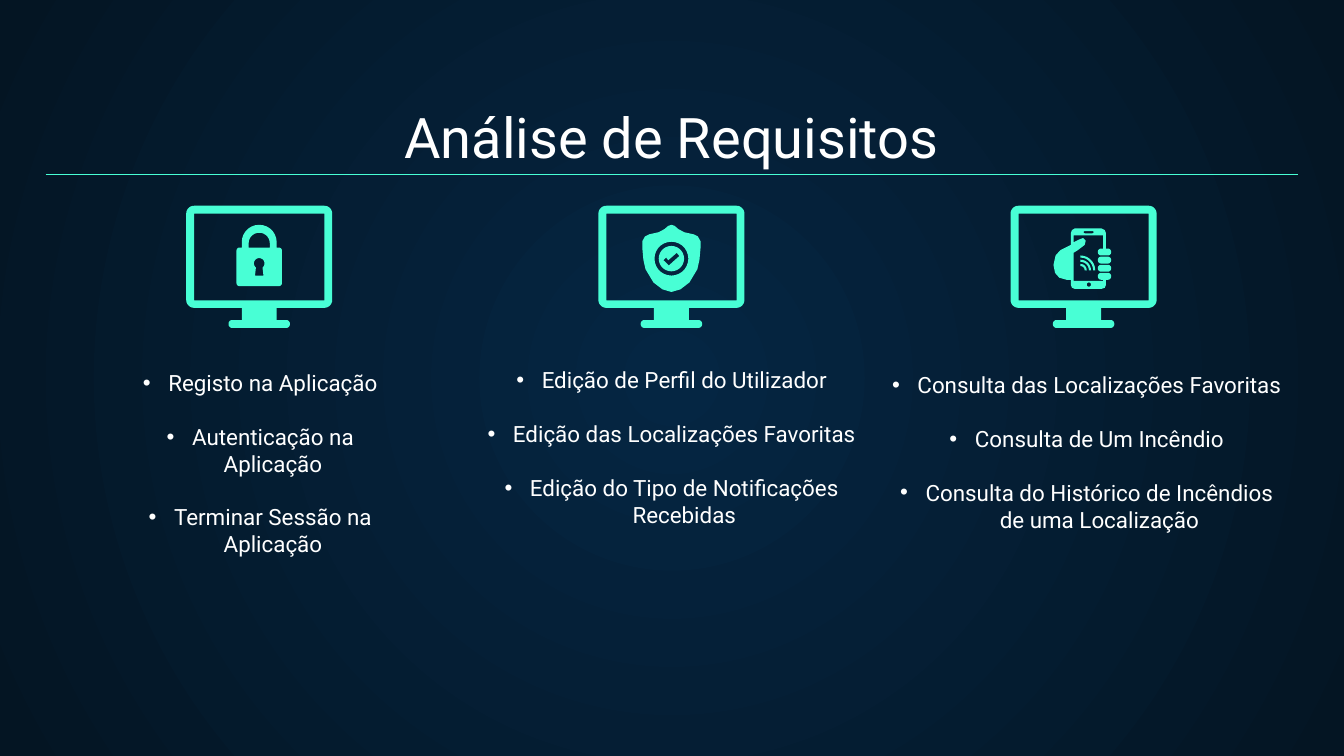
"""Build the requirements analysis slide with three illustrated columns."""
from math import cos, pi, sin

from lxml import etree
from pptx import Presentation
from pptx.dml.color import RGBColor
from pptx.enum.shapes import MSO_CONNECTOR
from pptx.enum.text import MSO_ANCHOR, PP_ALIGN
from pptx.oxml.ns import qn
from pptx.util import Cm, Pt

STRAIGHT = MSO_CONNECTOR.STRAIGHT
BOTTOM, TOP = MSO_ANCHOR.BOTTOM, MSO_ANCHOR.TOP
CENTER = PP_ALIGN.CENTER

COLORS = {"glow": "052643", "night": "041523", "mint": "48FFD5", "white": "FFFFFF"}
FONT = "Roboto"
STEPS = 8
MONITOR_TOP = 3.89
FIRST_CENTER, COLUMN_PITCH = 4.9, 7.79


def rounded(left, top, right, bottom, radius):
    """Return the outline of a rounded box, clockwise from its top left corner."""
    corners = [
        (left + radius, top + radius, pi),
        (right - radius, top + radius, 1.5 * pi),
        (right - radius, bottom - radius, 0),
        (left + radius, bottom - radius, 0.5 * pi),
    ]
    return [
        (x + radius * cos(start + step * pi / 2 / (STEPS - 1)),
         y + radius * sin(start + step * pi / 2 / (STEPS - 1)))
        for x, y, start in corners
        for step in range(STEPS)
    ]


def add_text(box, paragraphs, size, anchor, inset, bulleted):
    """Fill the box (left, top, width, height) with centred paragraphs."""
    frame = slide.shapes.add_textbox(*[Cm(length) for length in box]).text_frame
    frame.word_wrap = True
    frame.vertical_anchor = anchor
    frame.margin_left = frame.margin_right = Cm(0.25)
    frame.margin_top = frame.margin_bottom = Cm(inset)
    for index, words in enumerate(paragraphs):
        paragraph = frame.add_paragraph() if index else frame.paragraphs[0]
        paragraph.alignment = CENTER
        run = paragraph.add_run()
        run.text = words
        run.font.name = FONT
        run.font.size = Pt(size)
        run.font.color.rgb = RGBColor.from_string(COLORS["white"])
        if bulleted:
            paragraph.space_before = Pt(14.4 if index else 0)
            properties = paragraph._p.get_or_add_pPr()
            properties.set("marL", str(Cm(0.48)))
            properties.set("indent", str(-Cm(0.48)))
            etree.SubElement(properties, qn("a:buFont"), typeface="Arial")
            etree.SubElement(properties, qn("a:buChar"), char="•")


presentation = Presentation()
presentation.slide_width = Cm(25.4)
presentation.slide_height = Cm(14.29)
slide = presentation.slides.add_slide(presentation.slide_layouts[6])

backdrop = slide.background.fill
backdrop.gradient()
for stop, shade in zip(backdrop.gradient_stops, ("glow", "night")):
    stop.color.rgb = RGBColor.from_string(COLORS[shade])
gradient = next(slide.element.iter(qn("a:gradFill")))
gradient.remove(gradient.find(qn("a:lin")))
circle = etree.SubElement(gradient, qn("a:path"))
circle.set("path", "circle")
etree.SubElement(circle, qn("a:fillToRect"), l="50000", t="50000", r="50000", b="50000")

add_text((0.86, 1.78, 23.67, 1.68), ["Análise de Requisitos"], 30, BOTTOM, 0.25, False)

monitor = [
    rounded(-1.38, 0, 1.38, 1.93, 0.15),
    [(-1.23, 0.15), (1.23, 0.15), (1.23, 1.79), (-1.23, 1.79)],
    [(-0.33, 1.93), (0.33, 1.93), (0.33, 2.16), (-0.33, 2.16)],
    rounded(-0.58, 2.16, 0.58, 2.31, 0.07),
]

arch_outer = rounded(-0.33, 0.36, 0.33, 1.02, 0.33)[:2 * STEPS]
arch_inner = rounded(-0.2, 0.51, 0.2, 0.91, 0.2)[:2 * STEPS]
keyhole = rounded(-0.1, 0.99, 0.1, 1.19, 0.1)
padlock = [
    rounded(-0.43, 0.79, 0.43, 1.52, 0.06),
    arch_outer + [(0.33, 0.79), (0.2, 0.79)] + arch_inner[::-1] + [(-0.2, 0.79), (-0.33, 0.79)],
    keyhole[:21] + [(0.08, 1.32), (-0.08, 1.32)] + keyhole[27:],
]

shield_half = [
    (0, 0.36), (0.06, 0.38), (0.13, 0.44), (0.24, 0.5), (0.42, 0.54), (0.5, 0.58), (0.55, 0.67),
    (0.55, 0.8), (0.53, 1.02), (0.49, 1.2), (0.34, 1.45), (0.17, 1.58), (0, 1.63),
]
shield = [
    shield_half + [(-x, y) for x, y in shield_half[-2:0:-1]],
    rounded(-0.32, 0.68, 0.32, 1.32, 0.32),
]
check_badge = [
    rounded(-0.24, 0.76, 0.24, 1.24, 0.24),
    [(-0.15, 1.03), (-0.1, 0.98), (-0.06, 1.03), (0.1, 0.89), (0.15, 0.95), (-0.05, 1.13)],
]

hand_and_phone = [
    (-0.17, 0.43), (-0.22, 0.46), (-0.24, 0.51), (-0.24, 0.74), (-0.44, 0.84), (-0.53, 0.94),
    (-0.57, 1.12), (-0.54, 1.27), (-0.46, 1.36), (-0.32, 1.4), (-0.24, 1.4), (-0.24, 1.5),
    (-0.22, 1.55), (-0.17, 1.57), (0.34, 1.57), (0.4, 1.55), (0.42, 1.5), (0.42, 1.4),
    (0.37, 1.4), (0.37, 1.42), (-0.19, 1.42), (-0.19, 0.89), (-0.11, 0.84), (0.02, 0.74),
    (0.04, 0.66), (-0.01, 0.61), (-0.09, 0.64), (-0.19, 0.69), (-0.19, 0.56), (0.37, 0.56),
    (0.37, 0.81), (0.42, 0.81), (0.42, 0.51), (0.4, 0.46), (0.34, 0.43),
]
phone = [
    hand_and_phone,
    rounded(0, 0.48, 0.19, 0.52, 0.02),
    rounded(0.06, 1.45, 0.14, 1.53, 0.04),
]
for finger in range(4):
    top = 0.81 + 0.153 * finger
    phone.append(rounded(0.27, top, 0.52, top + 0.13, 0.06))
for outer_radius in (0.28, 0.2, 0.12):
    outer_arc, inner_arc = [
        rounded(-0.06 - r, 1.22 - r, -0.06 + r, 1.22 + r, r)[STEPS:2 * STEPS]
        for r in (outer_radius, outer_radius - 0.04)
    ]
    phone.append(outer_arc + inner_arc[::-1])

icons = [[monitor, padlock], [monitor, check_badge, shield], [monitor, phone]]
for column, drawings in enumerate(icons):
    center = FIRST_CENTER + COLUMN_PITCH * column
    for outlines in drawings:
        placed = [[(Cm(center + x), Cm(MONITOR_TOP + y)) for x, y in outline] for outline in outlines]
        builder = slide.shapes.build_freeform(*placed[0][0])
        for index, points in enumerate(placed):
            if index:
                builder.move_to(*points[0])
            builder.add_line_segments(points[1:], close=True)
        icon = builder.convert_to_shape()
        icon.shadow.inherit = False
        icon.fill.solid()
        icon.fill.fore_color.rgb = RGBColor.from_string(COLORS["mint"])
        icon.line.fill.background()

divider = slide.shapes.add_connector(STRAIGHT, Cm(0.86), Cm(3.3), Cm(24.54), Cm(3.3))
divider.line.color.rgb = RGBColor.from_string(COLORS["mint"])
divider.line.width = Pt(0.75)
etree.SubElement(divider._element.spPr, qn("a:effectLst"))

requirements = [
    ((2.29, 6.73, 5.26, 1.4), 0.25, [
        "Registo na Aplicação",
        "Autenticação na Aplicação",
        "Terminar Sessão na Aplicação",
    ]),
    ((8.53, 6.8, 8.33, 3.33), 0.13, [
        "Edição de Perfil do Utilizador",
        "Edição das Localizações Favoritas",
        "Edição do Tipo de Notificações Recebidas",
    ]),
    ((16.54, 6.89, 8, 3.33), 0.13, [
        "Consulta das Localizações Favoritas",
        "Consulta de Um Incêndio",
        "Consulta do Histórico de Incêndios de uma Localização",
    ]),
]
for box, inset, items in requirements:
    add_text(box, items, 12, TOP, inset, True)

presentation.save("out.pptx")
